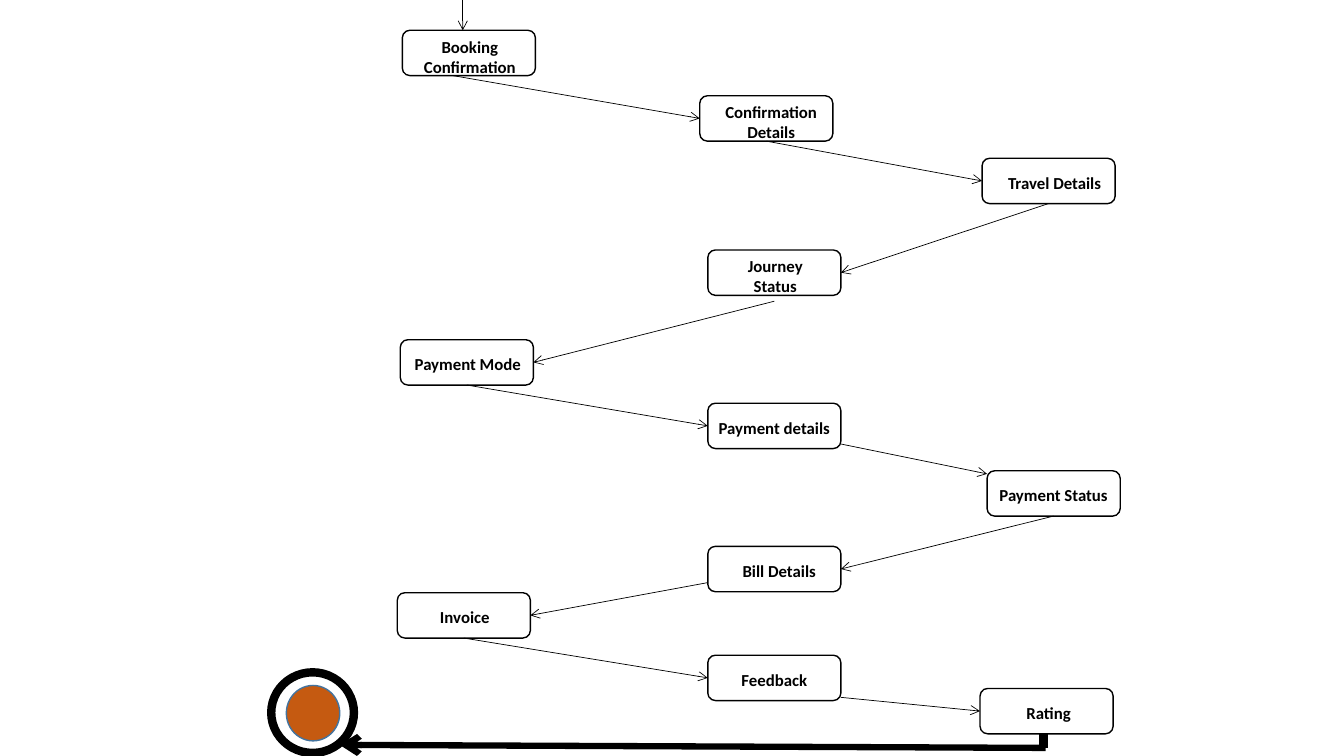
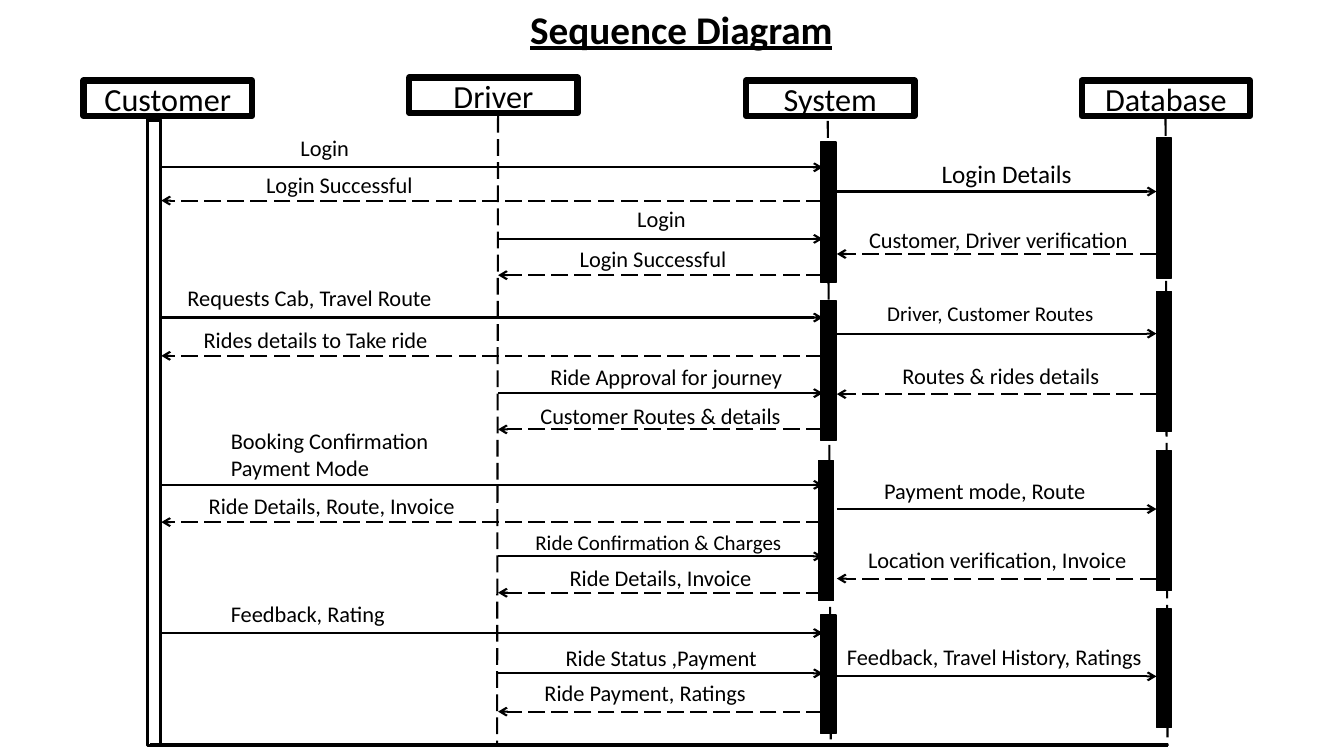
from dataclasses import dataclass

from lxml.etree import SubElement
from pptx import Presentation
from pptx.dml.color import RGBColor
from pptx.enum.dml import MSO_LINE
from pptx.enum.shapes import MSO_CONNECTOR as CONN, MSO_SHAPE as SHAPE
from pptx.enum.text import MSO_ANCHOR as ANCHOR, PP_ALIGN as ALIGN
from pptx.oxml.ns import qn
from pptx.util import Inches, Pt

COLS, ROWS = 13.33, 7.5
BLACK, WHITE, ORANGE, BLUE = "000000", "FFFFFF", "C55A11", "43739E"
NODE_FONT = {"name": "Calibri", "size": Pt(12), "bold": True}
HEAD_FONT = {"name": "Calibri", "size": Pt(23)}
TITLE_FONT = {"name": "Calibri", "size": Pt(28), "bold": True, "underline": True}
NODE_W, NODE_H = 1.32, 0.45

# label, left, top, text shift, arrow start and arrow end as shares of a node
STEPS = [
    ("Booking Confirmation", 3.99, 0.3, 0.01, (0.38, 1), 0.5),
    ("Confirmation\nDetails", 6.94, 0.95, 0.05, (0.5, 1), 0.5),
    ("Travel Details", 9.74, 1.57, 0.06, (0.5, 1), 0.5),
    ("Journey\nStatus", 7.02, 2.48, 0.01, (0.5, 1.13), 0.5),
    ("Payment Mode", 3.97, 3.37, 0.01, (0.5, 1), 0.5),
    ("Payment details", 7.02, 4, 0, (1, 0.9), 0.5),
    ("Payment Status", 9.79, 4.67, 0, (0.5, 1), 0.07),
    ("Bill Details", 7.02, 5.42, 0.05, (0, 0.8), 0.5),
    ("Invoice", 3.94, 5.88, 0.01, (0.5, 1), 0.5),
    ("Feedback", 7.02, 6.5, 0, (1, 0.93), 0.5),
    ("Rating", 9.72, 6.83, 0.02, None, 0.5),
]

# name, left and top of the head, left and right edges that messages meet
ACTORS = [
    ("Customer", 0.83, 0.8, 1.6, 1.6),
    ("Driver", 4.06, 0.77, 4.94, 4.94),
    ("System", 7.4, 0.8, 8.16, 8.3),
    ("Database", 10.73, 0.8, 11.47, 11.47),
]
LIFELINES = [(4.94, 1.15, 4.93), (8.21, 1.2, 8.24), (11.56, 1.18, 11.58)]
BARS = [
    (8.14, 1.41, 1.39), (8.14, 2.98, 1.39), (8.12, 4.57, 1.39), (8.14, 6.1, 1.18),
    (11.47, 1.37, 1.39), (11.47, 2.89, 1.39), (11.47, 4.47, 1.39), (11.47, 6.04, 1.18),
]
CUSTOMER, DRIVER, SYSTEM, DATABASE = range(4)

# sender, receiver, row of the arrow, label, label left and top, text size
MESSAGES = [
    (CUSTOMER, SYSTEM, 1.66, "Login", 2.95, 1.31, 16),
    (SYSTEM, CUSTOMER, 1.99, "Login Successful", 2.61, 1.68, 16),
    (DRIVER, SYSTEM, 2.37, "Login", 6.29, 2.02, 16),
    (SYSTEM, DRIVER, 2.73, "Login Successful", 5.72, 2.41, 16),
    (SYSTEM, DATABASE, 1.9, "Login Details", 9.31, 1.55, 18),
    (DATABASE, SYSTEM, 2.52, "Customer, Driver verification", 8.59, 2.22, 16),
    (CUSTOMER, SYSTEM, 3.15, "Requests Cab, Travel Route", 1.83, 2.8, 16),
    (SYSTEM, CUSTOMER, 3.53, "Rides details to Take ride", 1.99, 3.22, 16),
    (DRIVER, SYSTEM, 3.9, "Ride Approval for journey", 5.43, 3.58, 16),
    (SYSTEM, DRIVER, 4.26, "Customer Routes & details", 5.33, 3.97, 16),
    (SYSTEM, DATABASE, 3.31, "Driver, Customer Routes", 8.77, 2.96, 15),
    (DATABASE, SYSTEM, 3.91, "Routes & rides details", 8.92, 3.57, 16),
    (CUSTOMER, SYSTEM, 4.81, "Booking Confirmation\nPayment Mode", 2.26, 4.22, 16),
    (SYSTEM, CUSTOMER, 5.18, "Ride Details, Route, Invoice", 2.04, 4.86, 16),
    (DRIVER, SYSTEM, 5.52, "Ride Confirmation & Charges", 5.28, 5.23, 15),
    (SYSTEM, DRIVER, 5.88, "Ride Details, Invoice", 5.62, 5.58, 16),
    (SYSTEM, DATABASE, 5.05, "Payment mode, Route", 8.74, 4.71, 16),
    (DATABASE, SYSTEM, 5.74, "Location verification, Invoice", 8.58, 5.4, 16),
    (CUSTOMER, SYSTEM, 6.28, "Feedback, Rating", 2.26, 5.93, 16),
    (DRIVER, SYSTEM, 6.68, "Ride Status ,Payment", 5.58, 6.37, 16),
    (SYSTEM, DRIVER, 7.06, "Ride Payment, Ratings", 5.37, 6.72, 16),
    (SYSTEM, DATABASE, 6.71, "Feedback, Travel History, Ratings", 8.37, 6.36, 16),
]


@dataclass
class Grid:
    """A box on a slide, divided into COLS columns and ROWS rows."""
    s: object
    left: int
    top: int
    width: int
    height: int

    def point(self, col, row):
        """Return the place of a grid position on the slide."""
        return (int(self.left + self.width * col / COLS),
                int(self.top + self.height * row / ROWS))

    def box(self, col, row, cols, rows):
        """Return left, top, width and height of a grid area."""
        x, y = self.point(col, row)
        return x, y, int(self.width * cols / COLS), int(self.height * rows / ROWS)


def set_attrs(target, values):
    """Set each attribute named in a dict."""
    for name, value in values.items():
        setattr(target, name, value)


def paint(fill, color):
    """Give a fill one solid colour."""
    fill.solid()
    fill.fore_color.rgb = RGBColor.from_string(color)


def write(tf, text, font, align, anchor, margins):
    """Write one paragraph for each line of text."""
    left, top, right, bottom = map(Inches, margins)
    set_attrs(tf, {"word_wrap": True, "vertical_anchor": anchor, "margin_left": left,
                   "margin_top": top, "margin_right": right, "margin_bottom": bottom})
    for i, line in enumerate(text.split("\n")):
        p = tf.add_paragraph() if i else tf.paragraphs[0]
        p.alignment = align
        r = p.add_run()
        r.text = line
        set_attrs(r.font, font)
        paint(r.font.fill, BLACK)


def add_label(grid, area, text, font, margins=(0.03, 0.02, 0.03, 0.02)):
    """Add free text aligned to the left."""
    sp = grid.s.shapes.add_textbox(*grid.box(*area))
    write(sp.text_frame, text, font, ALIGN.LEFT, ANCHOR.TOP, margins)


def add_box(grid, kind, area, fill=WHITE, line=BLACK, weight=1):
    """Add a filled and outlined shape."""
    sp = grid.s.shapes.add_shape(kind, *grid.box(*area))
    sp.shadow.inherit = False
    paint(sp.fill, fill)
    paint(sp.line.fill, line)
    sp.line.width = Pt(weight)
    return sp


def add_line(grid, start, end, weight, arrow=True, dashed=False):
    """Add a straight line, with an arrowhead at its end if asked."""
    c = grid.s.shapes.add_connector(CONN.STRAIGHT, *grid.point(*start), *grid.point(*end))
    paint(c.line.fill, BLACK)
    c.line.width = Pt(weight)
    if dashed:
        c.line.dash_style = MSO_LINE.LONG_DASH
    sppr = c._element.spPr
    if arrow:
        SubElement(sppr.find(qn("a:ln")), qn("a:tailEnd"), type="arrow")
    SubElement(sppr, qn("a:effectLst"))


def draw_flow(grid):
    """Draw the zigzag of steps and the final state."""
    add_line(grid, (4.59, 0), (4.59, 0.3), 0.5)
    for label, x, y, shift, _, _ in STEPS:
        sp = add_box(grid, SHAPE.FLOWCHART_ALTERNATE_PROCESS, (x, y, NODE_W, NODE_H))
        drop = 0.07 if len(label) > 15 or "\n" in label else 0.03
        write(sp.text_frame, label, NODE_FONT, ALIGN.CENTER, ANCHOR.MIDDLE,
              (2 * shift, drop, 0, 0))
    for (_, x, y, _, (sx, sy), _), (_, nx, ny, _, _, end) in zip(STEPS, STEPS[1:]):
        side = nx if nx > x else nx + NODE_W
        add_line(grid, (x + sx * NODE_W, y + sy * NODE_H), (side, ny + end * NODE_H), 0.5)
    add_box(grid, SHAPE.OVAL, (2.69, 6.67, 0.82, 0.8), weight=6)
    add_box(grid, SHAPE.OVAL, (2.84, 6.8, 0.53, 0.55), ORANGE, BLUE)
    add_line(grid, (10.37, 7.42), (3.37, 7.39), 4.5)
    add_line(grid, (10.35, 7.42), (10.35, 7.28), 6, arrow=False)


def draw_actors(grid):
    """Draw the heads, lifelines and activation bars."""
    for name, x, y, _, _ in ACTORS:
        sp = add_box(grid, SHAPE.RECTANGLE, (x, y, 1.67, 0.35), weight=4.5)
        write(sp.text_frame, name, HEAD_FONT, ALIGN.CENTER, ANCHOR.MIDDLE, (0, 0, 0, 0))
    add_box(grid, SHAPE.RECTANGLE, (1.46, 1.19, 0.13, 6.21), weight=2.25)
    for x, y, foot in LIFELINES:
        add_line(grid, (x, y), (foot, 7.4), 1.5, arrow=False, dashed=True)
    for x, y, h in BARS:
        add_box(grid, SHAPE.RECTANGLE, (x, y, 0.15, h), BLACK)
    add_line(grid, (1.49, 7.39), (11.58, 7.39), 3, arrow=False)


def draw_messages(grid):
    """Draw calls as solid arrows and replies as dashed ones."""
    for frm, to, row, text, x, y, size in MESSAGES:
        reply = to < frm
        *_, from_left, from_right = ACTORS[frm]
        *_, to_left, to_right = ACTORS[to]
        start, end = (from_left, to_right) if reply else (from_right, to_left)
        add_line(grid, (start, row), (end, row), 1.5, dashed=reply)
        add_label(grid, (x, y, 3.5, 0.3), text, {"name": "Calibri", "size": Pt(size)})


def draw_sequence(grid):
    """Draw the titled sequence diagram."""
    add_label(grid, (5.16, 0, 3.83, 0.57), "Sequence Diagram", TITLE_FONT,
              (0.1, 0.05, 0.1, 0.05))
    draw_actors(grid)
    draw_messages(grid)


def main():
    """Build both slides and save them."""
    prs = Presentation()
    prs.slide_width, prs.slide_height = Inches(COLS), Inches(ROWS)
    for draw in (draw_flow, draw_sequence):
        s = prs.slides.add_slide(prs.slide_layouts[6])
        draw(Grid(s, 0, 0, prs.slide_width, prs.slide_height))
    prs.save("out.pptx")


if __name__ == "__main__":
    main()
